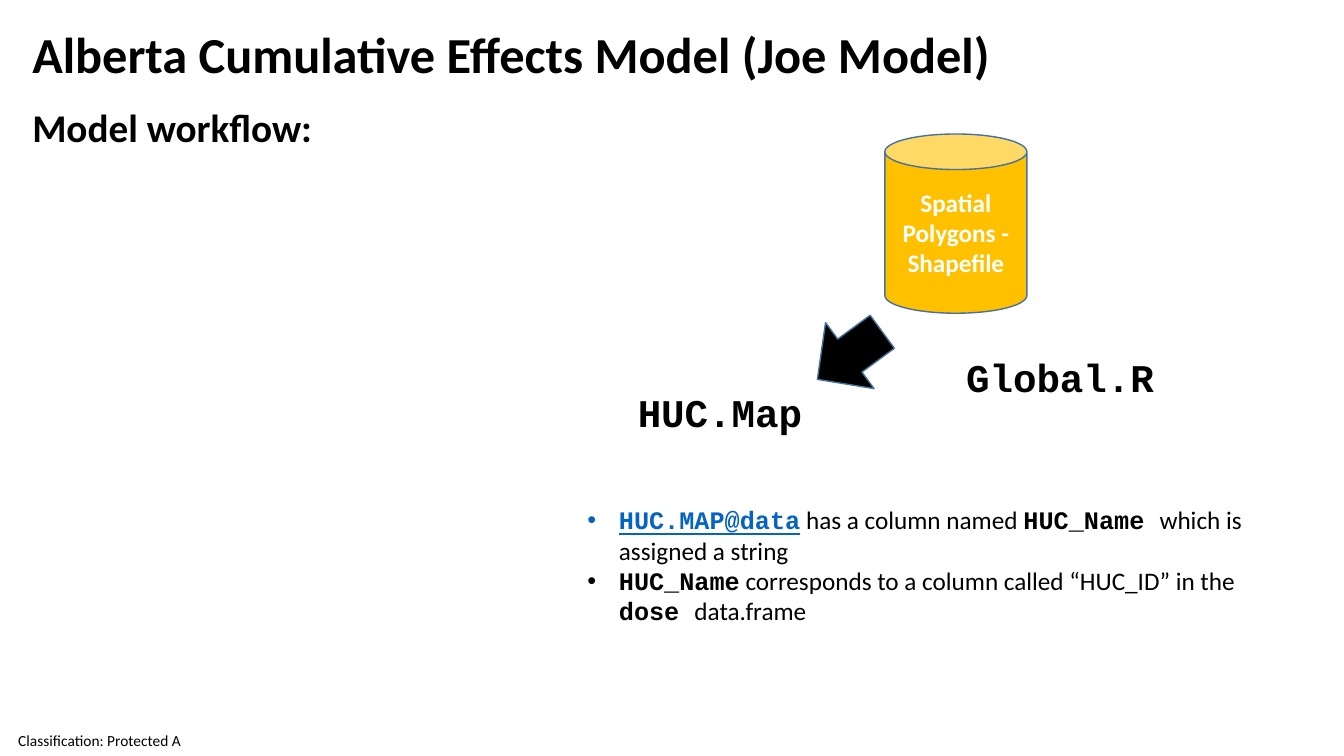
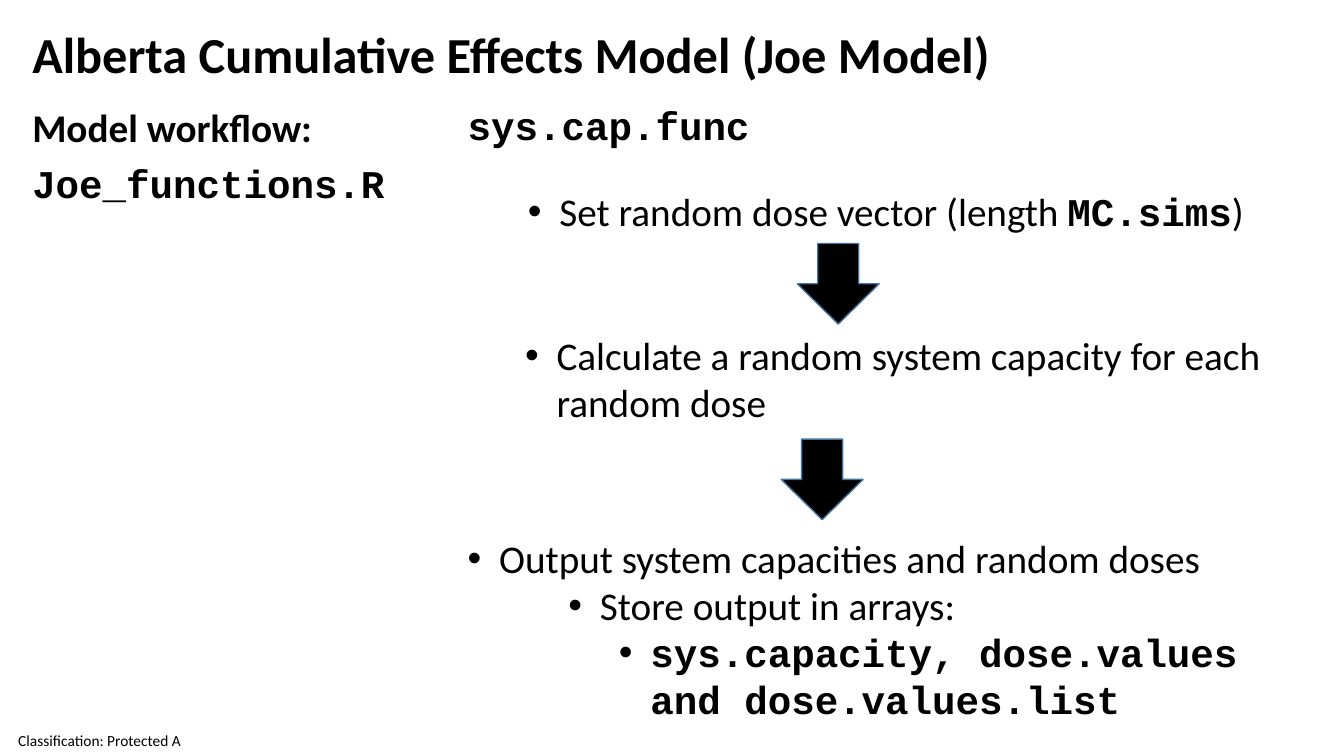
"""Build two slides on the workflow of the Joe Model."""
from lxml.etree import SubElement
from pptx import Presentation
from pptx.dml.color import RGBColor as Rgb
from pptx.enum.shapes import MSO_SHAPE as Kind
from pptx.enum.text import MSO_ANCHOR as Anchor, PP_ALIGN as Align
from pptx.oxml.ns import qn
from pptx.util import Pt


class Theme:
    """Hold the colours, type sizes and text looks."""
    gold, edge = "FFC000", "43739E"
    black, white, blue = "000000", "FFFFFF", "0563C1"
    title, head, note, foot = 36, 28, 18, 11
    hang = 22.5
    looks = {
        "plain": (black, {"name": "Calibri", "bold": False}),
        "bold": (black, {"name": "Calibri", "bold": True}),
        "light": (white, {"name": "Calibri", "bold": True}),
        "code": (black, {"name": "Courier New", "bold": True}),
        "link": (blue, {"name": "Courier New", "bold": True, "underline": True}),
    }


SHARED = [
    ((0, 517.5, 142, 22.5), Theme.foot, True, [(None, [("Classification: Protected A", "plain")])]),
    ((16, 13, 707, 94), Theme.title, False,
     [(None, [("Alberta Cumulative Effects Model (Joe Model)", "bold")])]),
    ((16, 70, 897, 41), Theme.head, True, [(None, [("Model workflow:", "bold")])]),
]
SLIDES = [
    {
        "cans": [((632, 95.75, 101.5, 128), "Spatial Polygons - Shapefile")],
        "arrows": [(578.25, 224.75, 143.7)],
        "texts": [
            ((448.5, 273.5, 133, 41), Theme.head, False, [(None, [("HUC.Map", "code")])]),
            ((412.5, 357, 489.5, 94), Theme.note, True, [
                (0, [("HUC.MAP@data", "link"), (" has a column named ", "plain"),
                     ("HUC_Name ", "code"), ("which is assigned a string", "plain")]),
                (0, [("HUC_Name", "code"),
                     (" corresponds to a column called “HUC_ID” in the ", "plain"),
                     ("dose ", "code"), ("data.frame", "plain")]),
            ]),
            ((683, 249, 150, 41), Theme.head, False, [(None, [("Global.R", "code")])]),
        ],
    },
    {
        "cans": [],
        "arrows": [(570, 173.5, 90), (558.5, 313.25, 90)],
        "texts": [
            ((16, 110, 268.5, 41), Theme.head, False, [(None, [("Joe_functions.R", "code")])]),
            ((327, 69, 412.5, 41), Theme.head, True, [(None, [("sys.cap.func", "code")])]),
            ((370, 130.25, 538, 41), Theme.head, False, [
                (0, [("Set random dose vector (length ", "plain"), ("MC.sims", "code"),
                     (") ", "plain")])]),
            ((368, 233.25, 545, 75), Theme.head, True, [
                (0, [("Calculate a random system capacity for each random dose ", "plain")])]),
            ((327, 378, 603.5, 143.25), Theme.head, True, [
                (0, [("Output system capacities and random doses", "plain")]),
                (2, [("Store output in arrays:", "plain")]),
                (3, [("sys.capacity, dose.values and dose.values.list", "code")]),
            ]),
        ],
    },
]


def write(para, runs, size):
    """Add styled runs to a paragraph."""
    for text, look in runs:
        run = para.add_run()
        run.text = text
        color, form = Theme.looks[look]
        for key, val in {**form, "size": Pt(size)}.items():
            setattr(run.font, key, val)
        run.font.color.rgb = Rgb.from_string(color)


def bullet(para, level):
    """Give a paragraph a hanging bullet at its level."""
    para.level = level
    props = para._p.get_or_add_pPr()
    props.set("marL", str(Pt(Theme.hang + 36 * level)))
    props.set("indent", str(-Pt(Theme.hang)))
    SubElement(props, qn("a:buFont")).set("typeface", "Arial")
    SubElement(props, qn("a:buChar")).set("char", "•")


def label(slide, area, size, wrap, paras):
    """Place a text box."""
    frame = slide.shapes.add_textbox(*map(Pt, area)).text_frame
    frame.word_wrap = wrap
    if size == Theme.foot:
        form = {"margin_left": Pt(13), "margin_top": 0, "margin_right": 0,
                "margin_bottom": 0, "vertical_anchor": Anchor.MIDDLE}
        for key, val in form.items():
            setattr(frame, key, val)
    for rank, (level, runs) in enumerate(paras):
        para = frame.add_paragraph() if rank else frame.paragraphs[0]
        if level is not None:
            bullet(para, level)
        write(para, runs, size)


def solid(slide, kind, area, fill, turn=0):
    """Place a filled shape with a thin edge."""
    shape = slide.shapes.add_shape(kind, *map(Pt, area))
    shape.shadow.inherit = False
    shape.rotation = turn
    shape.fill.solid()
    shape.fill.fore_color.rgb = Rgb.from_string(fill)
    shape.line.color.rgb = Rgb.from_string(Theme.edge)
    shape.line.width = Pt(1)
    return shape


deck = Presentation()
deck.slide_width, deck.slide_height = Pt(960), Pt(540)
for page in SLIDES:
    slide = deck.slides.add_slide(deck.slide_layouts[6])
    for item in SHARED:
        label(slide, *item)
    for area, text in page["cans"]:
        frame = solid(slide, Kind.CAN, area, Theme.gold).text_frame
        frame.word_wrap = True
        frame.vertical_anchor = Anchor.MIDDLE
        para = frame.paragraphs[0]
        para.alignment = Align.CENTER
        write(para, [(text, "light")], Theme.note)
    for left, top, turn in page["arrows"]:
        solid(slide, Kind.RIGHT_ARROW, (left, top, 57.5, 58.5), Theme.black, turn)
    for item in page["texts"]:
        label(slide, *item)
deck.save("out.pptx")
